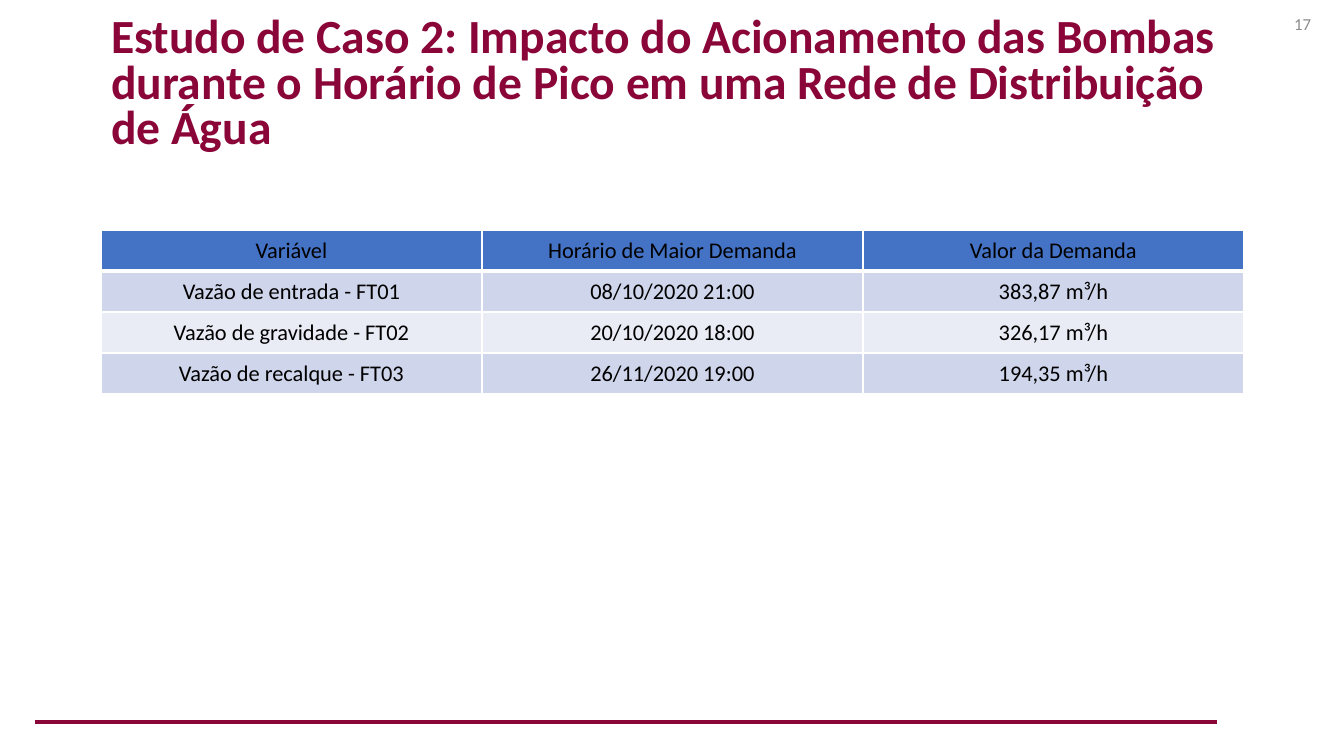
from lxml.etree import SubElement
from pptx import Presentation
from pptx.dml.color import RGBColor
from pptx.enum.shapes import MSO_CONNECTOR
from pptx.enum.text import MSO_ANCHOR, MSO_AUTO_SIZE, PP_ALIGN
from pptx.oxml import parse_xml
from pptx.oxml.ns import nsdecls, qn
from pptx.util import Pt

PX = 914400 / 100.8
WINE = RGBColor(0x8A, 0x05, 0x38)
BLUE = RGBColor(0x44, 0x72, 0xC4)
BAND_DARK = RGBColor(0xCF, 0xD5, 0xEA)
BAND_LIGHT = RGBColor(0xE9, 0xEB, 0xF5)
WHITE = RGBColor(0xFF, 0xFF, 0xFF)
BLACK = RGBColor(0, 0, 0)
GRAY = RGBColor(0x8C, 0x8C, 0x8C)
DEMANDS = [
    ("Variável", "Horário de Maior Demanda", "Valor da Demanda"),
    ("Vazão de entrada - FT01", "08/10/2020 21:00", "383,87 m³/h"),
    ("Vazão de gravidade - FT02", "20/10/2020 18:00", "326,17 m³/h"),
    ("Vazão de recalque - FT03", "26/11/2020 19:00", "194,35 m³/h"),
]


def px(*lengths):
    """Turn pixel lengths into a list of EMU."""
    return [round(length * PX) for length in lengths]


def format_text(para, size, color, align, bold=False):
    para.alignment = align
    para.font.name = "Calibri"
    para.font.size = Pt(size)
    para.font.bold = bold
    para.font.color.rgb = color


deck = Presentation()
deck.slide_width, deck.slide_height = px(1344, 756)
page = deck.slides.add_slide(deck.slide_layouts[5])

# Footer rule
rule = page.shapes.add_connector(MSO_CONNECTOR.STRAIGHT, *px(35, 722, 1217, 722))
rule.line.color.rgb = WINE
rule.line.width = Pt(3)
SubElement(rule.element.spPr, qn("a:effectLst"))

# Title
title = page.shapes.title
title.left, title.top, title.width, title.height = px(101, 61, 1143, 98)
frame = title.text_frame
frame.text = ("Estudo de Caso 2: Impacto do Acionamento das Bombas durante o "
              "Horário de Pico em uma Rede de Distribuição de Água")
frame.word_wrap = True
frame.auto_size = MSO_AUTO_SIZE.NONE
frame.vertical_anchor = MSO_ANCHOR.BOTTOM
format_text(frame.paragraphs[0], 34, WINE, PP_ALIGN.LEFT, bold=True)
frame.paragraphs[0].line_spacing = 0.8

# Demand table
table = page.shapes.add_table(4, 3, *px(101, 230, 1143, 164)).table
for row, texts in enumerate(DEMANDS):
    for column, text in enumerate(texts):
        cell = table.cell(row, column)
        cell.text = text
        cell.vertical_anchor = MSO_ANCHOR.MIDDLE
        cell.margin_left, cell.margin_right, cell.margin_top, cell.margin_bottom = px(1, 1, 1, 0)
        format_text(cell.text_frame.paragraphs[0], 16, BLACK, PP_ALIGN.CENTER)
        cell.fill.solid()
        cell.fill.fore_color.rgb = BLUE if row == 0 else (BAND_LIGHT, BAND_DARK)[row % 2]
        properties = cell._tc.get_or_add_tcPr()
        for index, side in enumerate("LRTB"):
            thick = (row, side) in ((0, "B"), (1, "T"))
            properties.insert(index, parse_xml(
                f'<a:ln{side} {nsdecls("a")} w="{Pt(3 if thick else 1)}">'
                f'<a:solidFill><a:srgbClr val="{WHITE}"/></a:solidFill></a:ln{side}>'))

# Page number
number = page.shapes.add_textbox(*px(1019, 4, 302, 40)).text_frame
number.text = "17"
number.word_wrap = True
number.vertical_anchor = MSO_ANCHOR.MIDDLE
format_text(number.paragraphs[0], 12, GRAY, PP_ALIGN.RIGHT)

deck.save("out.pptx")
